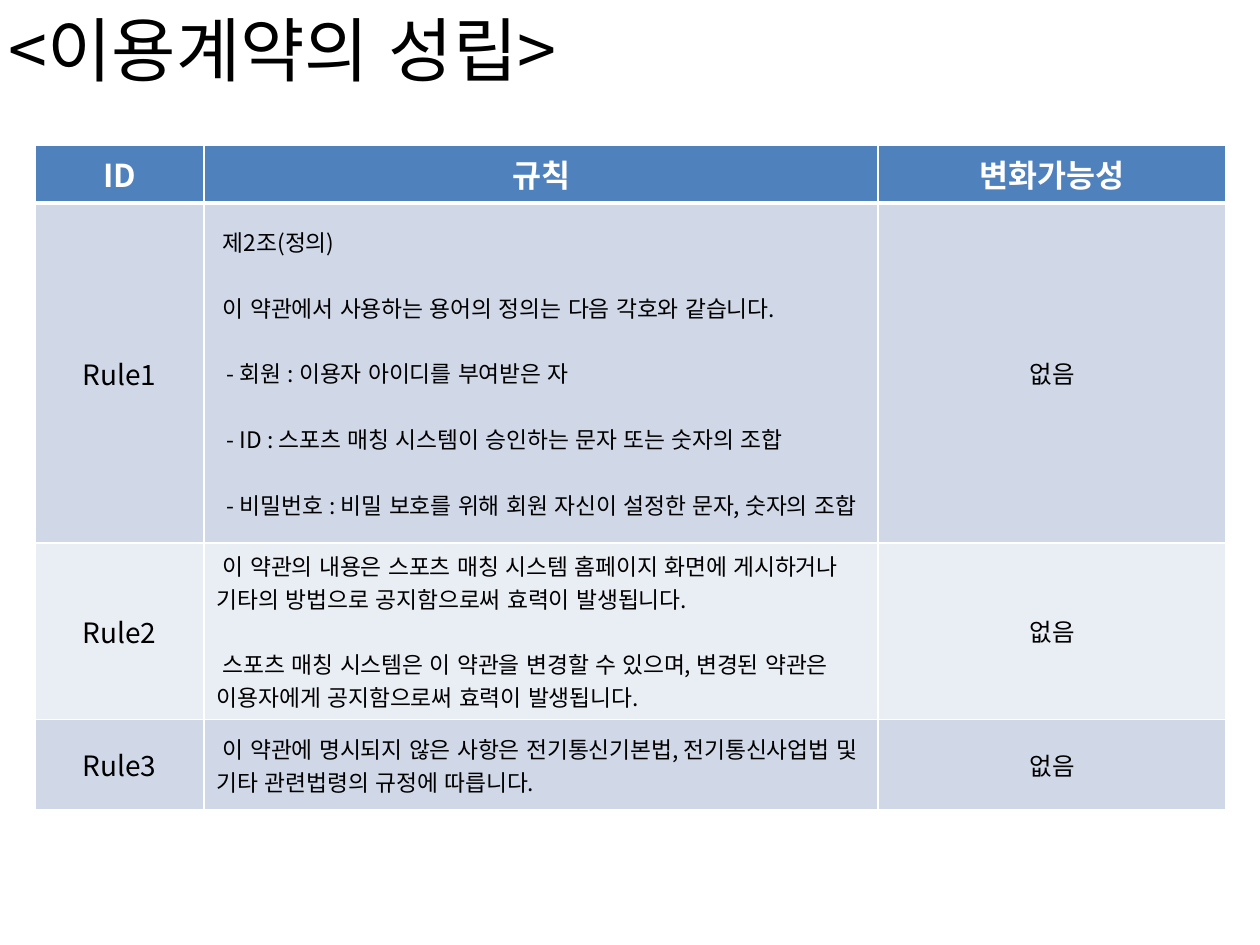
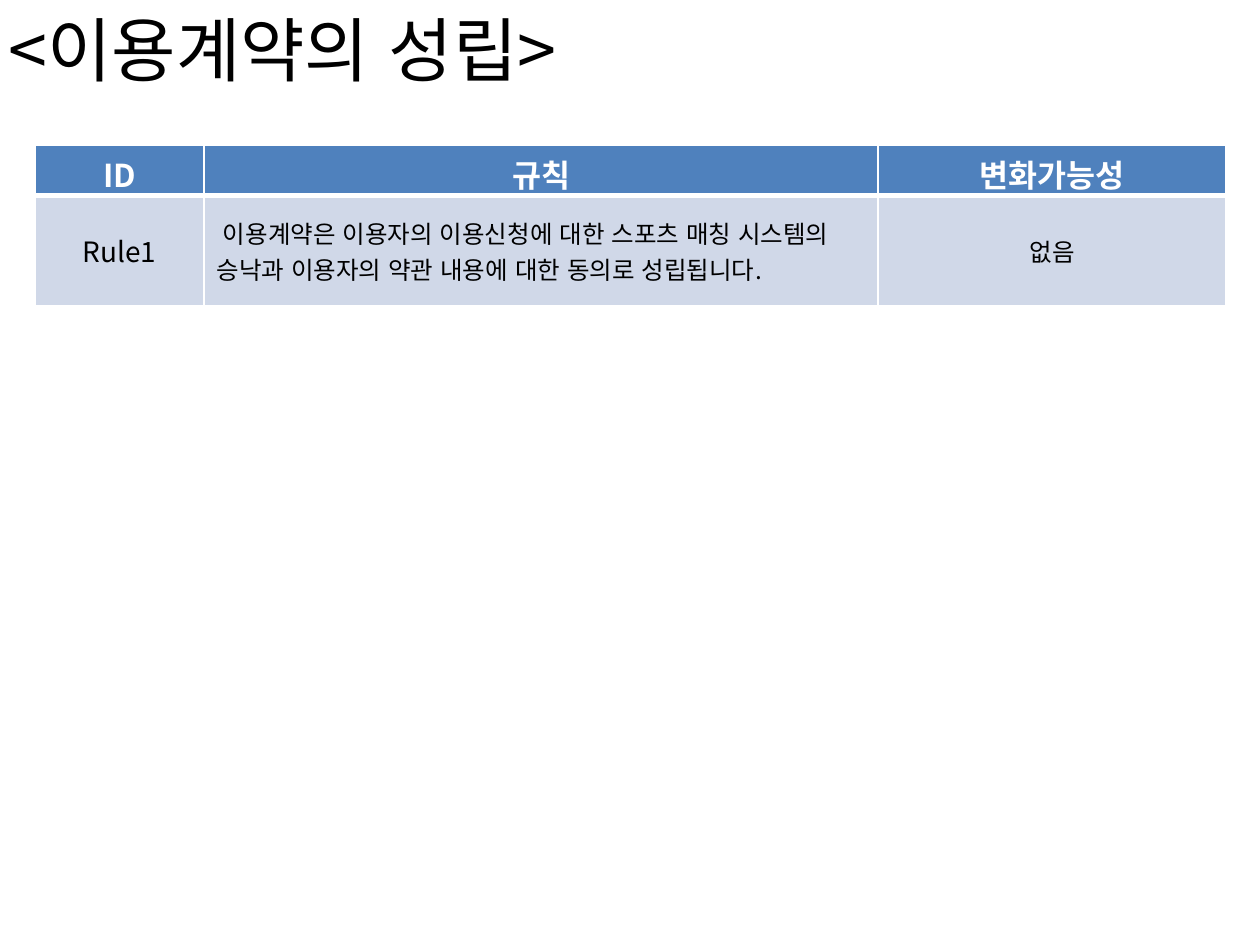
from lxml.etree import SubElement
from pptx import Presentation
from pptx.dml.color import RGBColor
from pptx.enum.lang import MSO_LANGUAGE_ID
from pptx.enum.text import MSO_ANCHOR, MSO_AUTO_SIZE, PP_ALIGN
from pptx.oxml.ns import qn
from pptx.util import Inches, Pt

FONT = "Noto Sans CJK KR"
BLACK = RGBColor(0x00, 0x00, 0x00)
WHITE = RGBColor(0xFF, 0xFF, 0xFF)
BLUE = RGBColor(0x4F, 0x81, 0xBD)
BANDS = [RGBColor(0xD0, 0xD8, 0xE8), RGBColor(0xE9, 0xED, 0xF4)]

TITLE = "<이용계약의 성립>"
HEADS = ["ID", "규칙", "변화가능성"]
COLS = [1.34, 5.35, 2.76]
NONE = "없음"
TEXT, ITEM = 0.05, 0.08  # first-line indents, inches
GAP = 18.8               # space between rule paragraphs, points

# Each rule is a list of (indent, text)
TERMS = [
    [
        (TEXT, "제2조(정의)"),
        (TEXT, "이 약관에서 사용하는 용어의 정의는 다음 각호와 같습니다."),
        (ITEM, "- 회원 : 이용자 아이디를 부여받은 자"),
        (ITEM, "- ID : 스포츠 매칭 시스템이 승인하는 문자 또는 숫자의 조합"),
        (ITEM, "- 비밀번호 : 비밀 보호를 위해 회원 자신이 설정한 문자, 숫자의 조합"),
    ],
    [
        (TEXT, "이 약관의 내용은 스포츠 매칭 시스템 홈페이지 화면에 게시하거나 "
               "기타의 방법으로 공지함으로써 효력이 발생됩니다."),
        (TEXT, "스포츠 매칭 시스템은 이 약관을 변경할 수 있으며, 변경된 약관은 "
               "이용자에게 공지함으로써 효력이 발생됩니다."),
    ],
    [
        (TEXT, "이 약관에 명시되지 않은 사항은 전기통신기본법, 전기통신사업법 및 "
               "기타 관련법령의 규정에 따릅니다."),
    ],
]
CONSENT = [
    [
        (TEXT, "이용계약은 이용자의 이용신청에 대한 스포츠 매칭 시스템의 "
               "승낙과 이용자의 약관 내용에 대한 동의로 성립됩니다."),
    ],
]


def style(para, size, color=BLACK, bold=False):
    for run in para.runs:
        font = run.font
        font.name, font.size, font.bold = FONT, Pt(size), bold
        font.color.rgb = color
        font.language_id = MSO_LANGUAGE_ID.KOREAN
        SubElement(font._element, qn("a:ea"), typeface=FONT)


def edge(cell, top, bottom):
    """Draw white cell borders; top and bottom are widths in points."""
    props = cell._tc.get_or_add_tcPr()
    for side, width in (("L", 1), ("R", 1), ("T", top), ("B", bottom)):
        line = SubElement(props, qn("a:ln" + side), w=str(Pt(width)))
        fill = SubElement(line, qn("a:solidFill"))
        SubElement(fill, qn("a:srgbClr"), val=str(WHITE))


def paint(cell, fill, top=1, bottom=1):
    edge(cell, top, bottom)
    cell.fill.solid()
    cell.fill.fore_color.rgb = fill


def center(cell, text, size, color=BLACK, bold=False):
    para = cell.text_frame.paragraphs[0]
    para.text = text
    para.alignment = PP_ALIGN.CENTER
    style(para, size, color, bold)


def write_rule(cell, rule, size):
    frame = cell.text_frame
    frame.text = "\n".join(text for _, text in rule)
    for i, (para, (indent, _)) in enumerate(zip(frame.paragraphs, rule)):
        para._p.get_or_add_pPr().set("indent", str(Inches(indent)))
        if i:
            para.space_before = Pt(GAP)
        style(para, size)


def add_title(slide):
    title = slide.shapes.title
    title.left, title.top = Inches(-0.03), Inches(0)
    title.width, title.height = Inches(5.79), Inches(0.77)
    frame = title.text_frame
    frame.text = TITLE
    frame.word_wrap = True
    frame.auto_size = MSO_AUTO_SIZE.SHAPE_TO_FIT_TEXT
    frame.vertical_anchor = MSO_ANCHOR.TOP
    para = frame.paragraphs[0]
    para.alignment = PP_ALIGN.LEFT
    style(para, 40)


def add_rules(slide, rules, rows, size):
    shape = slide.shapes.add_table(len(rows), len(COLS), Inches(0.28), Inches(1.15),
                                   Inches(sum(COLS)), Inches(sum(rows)))
    table = shape.table
    table.horz_banding = False
    for col, width in zip(table.columns, COLS):
        col.width = Inches(width)
    for row, tall in zip(table.rows, rows):
        row.height = Inches(tall)

    for cell, head in zip(table.rows[0].cells, HEADS):
        paint(cell, BLUE, bottom=3)
        center(cell, head, 18, WHITE, True)
    for n, rule in enumerate(rules, 1):
        cells = list(table.rows[n].cells)
        for cell in cells:
            paint(cell, BANDS[(n - 1) % 2], top=3 if n == 1 else 1)
            cell.vertical_anchor = MSO_ANCHOR.MIDDLE
        center(cells[0], f"Rule{n}", 16)
        write_rule(cells[1], rule, size)
        center(cells[2], NONE, 14)


def main():
    deck = Presentation()
    deck.slide_width, deck.slide_height = Inches(10), Inches(7.5)
    pages = [
        (TERMS, [0.46, 2.7, 1.4, 0.72], 13),
        (CONSENT, [0.39, 0.88], 14),
    ]
    for page in pages:
        slide = deck.slides.add_slide(deck.slide_layouts[5])
        add_rules(slide, *page)
        add_title(slide)
    deck.save("out.pptx")


if __name__ == "__main__":
    main()
